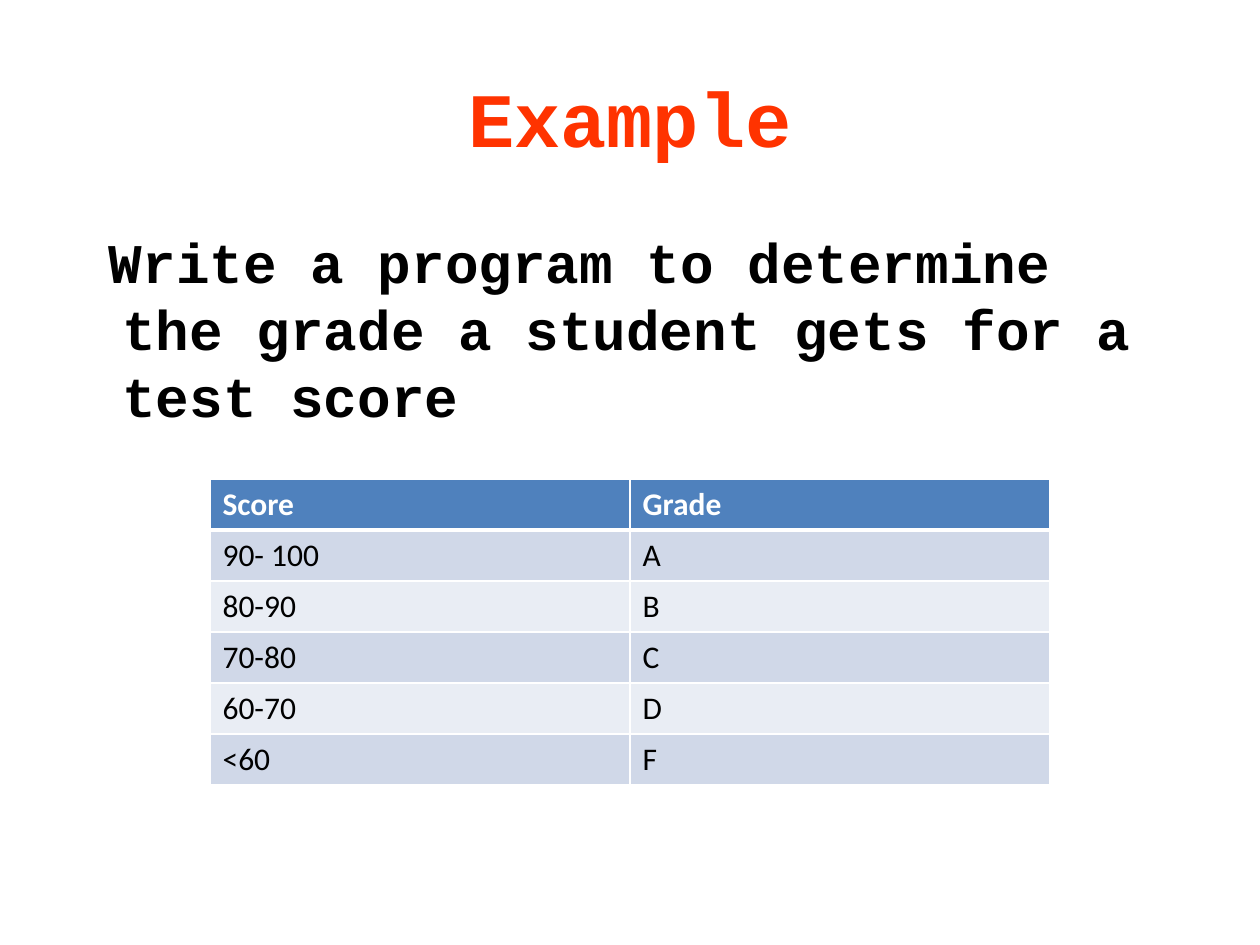
from pptx import Presentation
from pptx import util as u
from pptx.dml.color import RGBColor
from pptx.enum import text
from pptx.oxml import parse_xml
from pptx.oxml.ns import nsdecls

PIXEL = u.Inches(1) / 126
COLORS = {"title": "FF3300", "body": "000000", "header": "4F81BD",
          "odd": "D0D8E8", "even": "E9EDF4", "white": "FFFFFF"}
ROWS = [("Score", "Grade"), ("90- 100", "A"), ("80-90", "B"),
        ("70-80", "C"), ("60-70", "D"), ("<60", "F")]


def px(*lengths):
    """Turn pixel lengths into EMU."""
    return [u.Emu(round(length * PIXEL)) for length in lengths]


def add_run(para, words, size, font, color, bold):
    """Add one formatted run to a paragraph."""
    run = para.add_run()
    run.text = words
    run.font.size = u.Pt(size)
    run.font.name = font
    run.font.bold = bold
    run.font.color.rgb = RGBColor.from_string(COLORS[color])


deck = Presentation()
deck.slide_width, deck.slide_height = px(1260, 945)
page = deck.slides.add_slide(deck.slide_layouts[5])

# Title
title = page.shapes.title
title.left, title.top, title.width, title.height = px(63, 38, 1134, 157)
title.text_frame.vertical_anchor = text.MSO_ANCHOR.MIDDLE
para = title.text_frame.paragraphs[0]
para.alignment = text.PP_ALIGN.CENTER
add_run(para, "Example", 44, "Courier New", "title", True)

# Task
box = page.shapes.add_textbox(*px(63, 221, 1134, 624))
box.text_frame.word_wrap = True
para = box.text_frame.paragraphs[0]
indent = px(47)[0]
properties = para._p.get_or_add_pPr()
properties.set("marL", str(indent))
properties.set("indent", str(-indent))
add_run(para, " ", 32, "Courier New", "title", True)
add_run(para, "Write a program to determine the grade a student gets for a test score",
        32, "Courier New", "body", True)

# Grade table
table = page.shapes.add_table(len(ROWS), 2, *px(210, 479, 840, 306)).table
for r, row in enumerate(ROWS):
    header = r == 0
    fill = "header" if header else ("even", "odd")[r % 2]
    for c, words in enumerate(row):
        cell = table.cell(r, c)
        add_run(cell.text_frame.paragraphs[0], words, 18, "Calibri",
                "white" if header else "body", header)
        properties = cell._tc.get_or_add_tcPr()
        for side in "LRTB":
            thick = (header and side == "B") or (r == 1 and side == "T")
            properties.append(parse_xml(
                f'<a:ln{side} {nsdecls("a")} w="{u.Pt(3 if thick else 1)}"><a:solidFill>'
                f'<a:srgbClr val="{COLORS["white"]}"/></a:solidFill></a:ln{side}>'))
        cell.fill.solid()
        cell.fill.fore_color.rgb = RGBColor.from_string(COLORS[fill])

deck.save("out.pptx")
